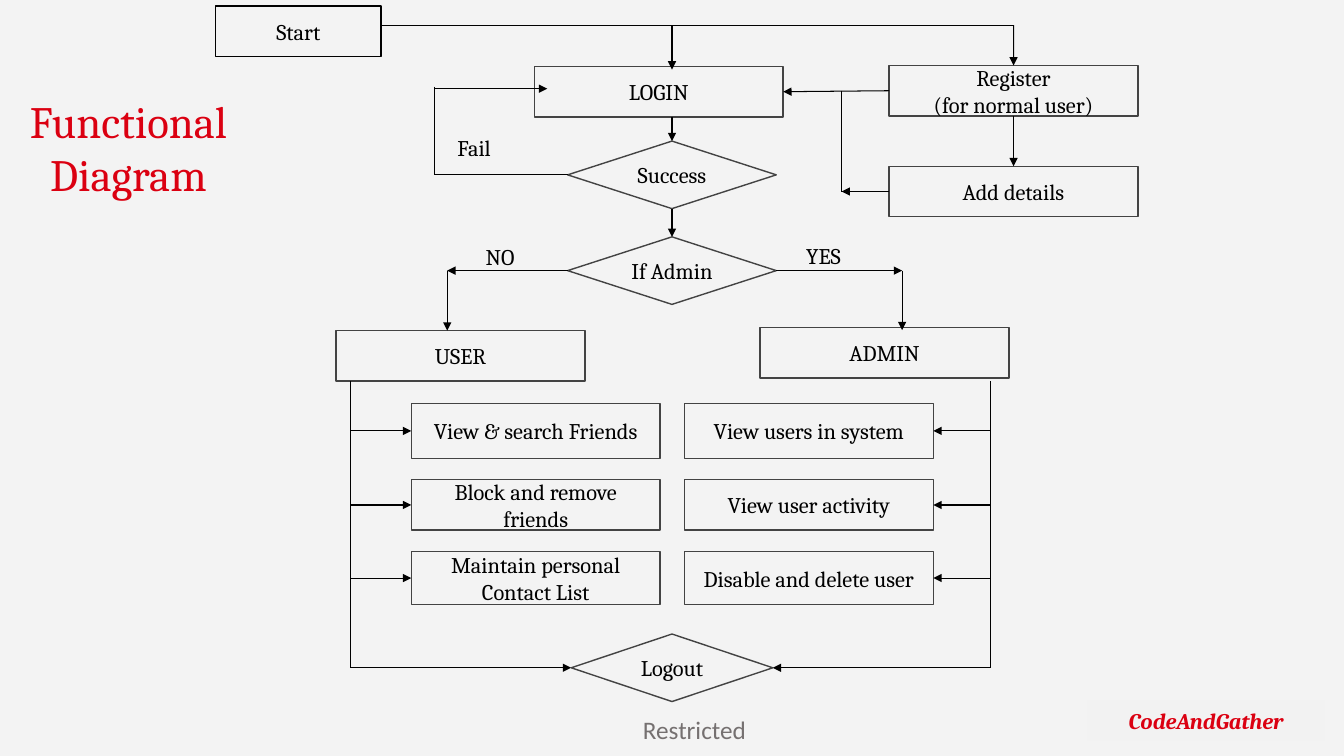
from dataclasses import dataclass

from lxml import etree
from pptx import Presentation
from pptx.dml.color import RGBColor
from pptx.enum.shapes import MSO_CONNECTOR, MSO_SHAPE
from pptx.enum.text import MSO_ANCHOR, PP_ALIGN
from pptx.oxml.ns import qn
from pptx.util import Inches, Pt

RECT, DIAMOND = MSO_SHAPE.RECTANGLE, MSO_SHAPE.DIAMOND
STRAIGHT = MSO_CONNECTOR.STRAIGHT
TOP, MIDDLE = MSO_ANCHOR.TOP, MSO_ANCHOR.MIDDLE
LEFT, CENTER = PP_ALIGN.LEFT, PP_ALIGN.CENTER
SIDE_TOP, SIDE_LEFT, SIDE_BOTTOM, SIDE_RIGHT = range(4)

SLIDE_W, SLIDE_H = Inches(13.33), Inches(7.5)
COL, ROW = SLIDE_W / 40, SLIDE_H / 30
AXIS = 20
BOX_W, BOX_H = 7.41, 2
DIAMOND_W, DIAMOND_H = 6.21, 2.68


@dataclass(frozen=True)
class Theme:
    paper: str = "F3F3F3"
    badge: str = "F2F2F2"
    ink: str = "000000"
    outline: str = "434343"
    accent: str = "DB0011"
    muted: str = "757070"
    serif: str = "Cambria"
    sans: str = "Calibri"
    title: int = 32
    footer: int = 18
    body: int = 16
    border: float = 1
    flow: float = 0.75


THEME = Theme()


def rgb(value):
    return RGBColor.from_string(value)


def place(col, row, cols, rows):
    """Turn grid columns and rows into slide lengths."""
    return [round(v) for v in (col * COL, row * ROW, cols * COL, rows * ROW)]


def write(shape, text, size=THEME.body, font=THEME.serif, color=THEME.ink,
          bold=False, italic=False, align=CENTER, anchor=MIDDLE):
    """Fill a shape with text, one paragraph a line."""
    frame = shape.text_frame
    frame.word_wrap = True
    frame.vertical_anchor = anchor
    frame.text = text
    for paragraph in frame.paragraphs:
        paragraph.alignment = align
        style = paragraph.font
        style.size, style.name = Pt(size), font
        style.bold, style.italic = bold, italic
        style.color.rgb = rgb(color)


def add_label(slide, text, grid, **style):
    write(slide.shapes.add_textbox(*place(*grid)), text, **style)


def add_block(slide, text, grid, kind=RECT, fill=THEME.paper,
              outline=THEME.outline, **style):
    block = slide.shapes.add_shape(kind, *place(*grid))
    block.shadow.inherit = False
    block.fill.solid()
    block.fill.fore_color.rgb = rgb(fill)
    if outline:
        block.line.color.rgb = rgb(outline)
        block.line.width = Pt(THEME.border)
    else:
        block.line.fill.background()
    write(block, text, **style)
    return block


def add_step(slide, text, col, row, height=BOX_H):
    return add_block(slide, text, (col, row, BOX_W, height))


def add_decision(slide, text, row, width=DIAMOND_W):
    return add_block(slide, text, (AXIS - width / 2, row, width, DIAMOND_H),
                     kind=DIAMOND)


def add_flow(slide, start, end, arrow=True):
    """Draw a line; each end is (column, row) or (block, side)."""
    joined = [not isinstance(point[0], (int, float)) for point in (start, end)]
    (x1, y1), (x2, y2) = [
        (0, 0) if is_joined else (round(point[0] * COL), round(point[1] * ROW))
        for point, is_joined in zip((start, end), joined)]
    flow = slide.shapes.add_connector(STRAIGHT, x1, y1, x2, y2)
    if joined[0]:
        flow.begin_connect(*start)
    if joined[1]:
        flow.end_connect(*end)
    flow.line.color.rgb = rgb(THEME.ink)
    flow.line.width = Pt(THEME.flow)
    if arrow:
        etree.SubElement(flow.line._get_or_add_ln(), qn("a:tailEnd"),
                         type="triangle")
    etree.SubElement(flow._element.spPr, qn("a:effectLst"))


def add_menu(slide, options, col, rail, rail_top, side, logout):
    """Draw a column of options fed from a rail that ends at Logout."""
    rail_end = 26.5
    add_flow(slide, (rail, rail_top), (rail, rail_end), arrow=False)
    for text, (row, height) in zip(options, ((16, 2.2), (19.04, 2), (21.88, 2.12))):
        option = add_step(slide, text, col, row, height)
        add_flow(slide, (rail, row + height / 2), (option, side))
    add_flow(slide, (rail, rail_end), (logout, side))


def add_sign_in(slide):
    """Draw the start, registration and login part; return the Success block."""
    start_line, register_axis, retry, details_rail = 1, 30.17, 12.93, 25.05
    add_block(slide, "Start", (6.42, 0.24, 4.92, 2), outline=THEME.ink)
    login = add_step(slide, "LOGIN", 15.9, 2.64)
    register = add_step(slide, "Register\n(for normal user)", 26.46, 2.6)
    details = add_step(slide, "Add details", 26.46, 6.6)
    success = add_decision(slide, "Success", 5.6)

    add_flow(slide, (11.34, start_line), (register_axis, start_line), arrow=False)
    add_flow(slide, (register_axis, start_line), (register, SIDE_TOP))
    add_flow(slide, (AXIS, start_line), (AXIS, 2.76))
    add_flow(slide, (register, SIDE_LEFT), (login, SIDE_RIGHT))
    add_flow(slide, (register, SIDE_BOTTOM), (details, SIDE_TOP))
    add_flow(slide, (details, SIDE_LEFT), (details_rail, 7.6))
    add_flow(slide, (details_rail, 3.6), (details_rail, 7.6), arrow=False)
    add_flow(slide, (AXIS, 4.64), (success, SIDE_TOP))
    add_flow(slide, (success, SIDE_LEFT), (retry, 6.94), arrow=False)
    add_flow(slide, (retry, 3.44), (retry, 6.94), arrow=False)
    add_flow(slide, (retry, 3.52), (16.29, 3.52))
    add_label(slide, "Fail", (13.32, 5.12, 1.86, 1.48), align=LEFT, anchor=TOP)
    return success


def add_roles(slide, success):
    """Draw the admin check and the two role branches."""
    check_row, user_turn, admin_turn = 10.74, 13.31, 26.85
    check = add_decision(slide, "If Admin", 9.4)
    add_step(slide, "USER", 10, 13.12)
    add_step(slide, "ADMIN", 22.62, 13)
    logout = add_decision(slide, "Logout", 25.16, width=6)

    add_flow(slide, (success, SIDE_BOTTOM), (check, SIDE_TOP))
    for side, turn, role_top in ((SIDE_LEFT, user_turn, 13.12),
                                 (SIDE_RIGHT, admin_turn, 13.1)):
        add_flow(slide, (check, side), (turn, check_row))
        add_flow(slide, (turn, check_row), (turn, role_top))
    add_label(slide, "NO", (14.16, 9.44, 1.86, 1.48), align=LEFT, anchor=TOP)
    add_label(slide, "YES", (23.7, 9.4, 2.76, 1.48), align=LEFT, anchor=TOP)

    add_menu(slide, ("View & search Friends", "Block and remove friends",
                     "Maintain personal Contact List"),
             12.24, 10.44, 15.12, SIDE_LEFT, logout)
    add_menu(slide, ("View users in system", "View user activity",
                     "Disable and delete user"),
             20.37, 29.49, 15.12, SIDE_RIGHT, logout)


def main():
    deck = Presentation()
    deck.slide_width, deck.slide_height = SLIDE_W, SLIDE_H
    slide = deck.slides.add_slide(deck.slide_layouts[6])
    slide.background.fill.solid()
    slide.background.fill.fore_color.rgb = rgb(THEME.paper)

    add_label(slide, "Restricted", (16.17, 28.4, 9, 1.12), size=THEME.footer,
              font=THEME.sans, color=THEME.muted)
    add_block(slide, "CodeAndGather", (32.37, 27.8, 7.05, 1.6),
              fill=THEME.badge, outline=None, color=THEME.accent,
              bold=True, italic=True)
    add_roles(slide, add_sign_in(slide))
    add_label(slide, "Functional Diagram", (0, 3, 7.65, 5.68),
              size=THEME.title, color=THEME.accent)
    deck.save("out.pptx")


if __name__ == "__main__":
    main()
